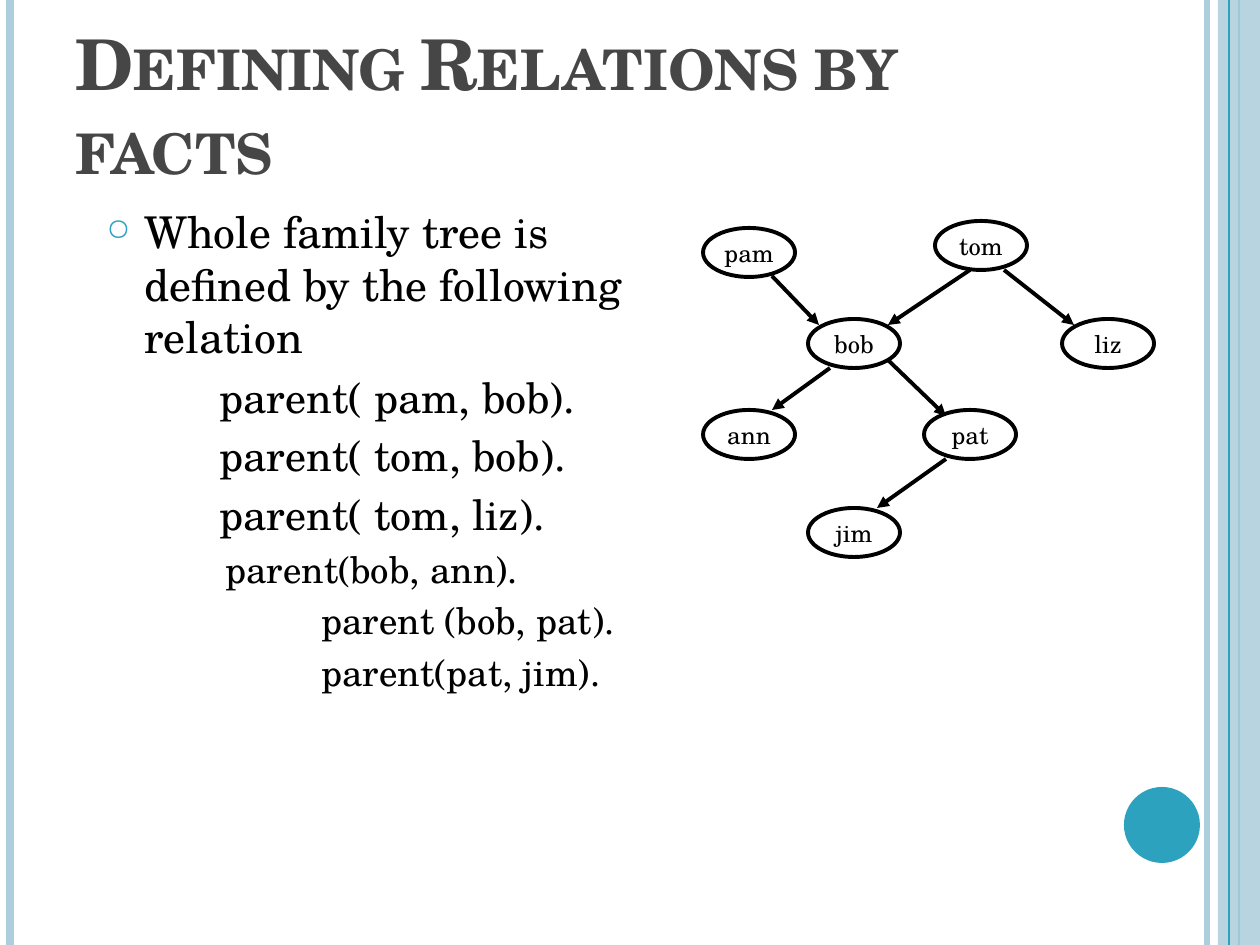
from collections import namedtuple

from lxml import etree
from pptx import Presentation
from pptx.dml.color import RGBColor
from pptx.enum.shapes import MSO_CONNECTOR, MSO_SHAPE
from pptx.enum.text import MSO_ANCHOR, MSO_AUTO_SIZE, PP_ALIGN
from pptx.oxml.ns import qn
from pptx.util import Pt

Theme = namedtuple("Theme", "font white ink heading pale accent title_size lead_size "
                            "fact_size small_fact_size node_size")
theme = Theme(
    font="TeX Gyre Schola",
    white=RGBColor.from_string("FFFFFF"),
    ink=RGBColor.from_string("000000"),
    heading=RGBColor.from_string("464646"),
    pale=RGBColor.from_string("ADCEDC"),
    accent=RGBColor.from_string("2DA2BF"),
    title_size=40, lead_size=25, fact_size=24, small_fact_size=21, node_size=14,
)
PX = 914400 / 126


def px(*lengths):
    return [round(length * PX) for length in lengths]


def add_line(start, end, color, width):
    line = page.shapes.add_connector(MSO_CONNECTOR.STRAIGHT, *px(*start, *end))
    line.line.color.rgb = color
    line.line.width = Pt(width)
    etree.SubElement(line._element.spPr, qn("a:effectLst"))
    return line


deck = Presentation()
deck.slide_width, deck.slide_height = px(1260, 945)
page = deck.slides.add_slide(deck.slide_layouts[5])

# Side stripes, band and disc
for x, color, width in [(1207, theme.pale, 3), (10, theme.pale, 4.5), (1239, theme.accent, 1.5)]:
    add_line((x, 0), (x, 945), color, width)

band = page.shapes.add_shape(MSO_SHAPE.RECTANGLE, *px(1218, 0, 42, 945))
add_line((1229, 0), (1229, 945), theme.accent, 0.75)
disc = page.shapes.add_shape(MSO_SHAPE.OVAL, *px(1124, 787, 76, 76))
for shape, color in [(band, theme.pale), (disc, theme.accent)]:
    shape.shadow.inherit = False
    shape.fill.solid()
    shape.fill.fore_color.rgb = color
    shape.line.fill.background()
band_color = band._element.spPr.find(qn("a:solidFill"))[0]
etree.SubElement(band_color, qn("a:alpha"), val="87000")

# Title
title = page.shapes.title
title.left, title.top, title.width, title.height = px(63, 38, 1029, 157)
frame = title.text_frame
frame.text = "Defining Relations by facts"
frame.word_wrap = True
frame.auto_size = MSO_AUTO_SIZE.NONE
frame.vertical_anchor = MSO_ANCHOR.BOTTOM
frame.paragraphs[0].alignment = PP_ALIGN.LEFT
span = frame.paragraphs[0].runs[0]
span.font.name = theme.font
span.font.size = Pt(theme.title_size)
span.font.bold = True
span.font.color.rgb = theme.heading
span.font._element.set("cap", "small")

# Family tree
node_width, node_height = 92, 49
people = {
    "pam": (703, 228), "liz": (1062, 319), "bob": (808, 319), "jim": (808, 508),
    "pat": (924, 410), "ann": (703, 410), "tom": (935, 221),
}
for name, corner in people.items():
    node = page.shapes.add_shape(MSO_SHAPE.OVAL, *px(*corner, node_width, node_height))
    node.shadow.inherit = False
    node.fill.solid()
    node.fill.fore_color.rgb = theme.white
    node.line.color.rgb = theme.ink
    node.line.width = Pt(2.25)
    frame = node.text_frame
    frame.text = name
    frame.word_wrap = False
    frame.vertical_anchor = MSO_ANCHOR.MIDDLE
    para = frame.paragraphs[0]
    para.alignment = PP_ALIGN.CENTER
    para.font.name = theme.font
    para.font.size = Pt(theme.node_size)
    para.font.color.rgb = theme.ink

parent_arrows = [
    ((772, 276), (819, 325)),
    ((970, 270), (888, 325)),
    ((1004, 270), (1074, 325)),
    ((830, 368), (772, 410)),
    ((888, 360), (946, 416)),
    ((946, 459), (877, 508)),
]
for start, end in parent_arrows:
    arrow = add_line(start, end, theme.ink, 2.25)
    etree.SubElement(arrow.line._get_or_add_ln(), qn("a:tailEnd"), type="triangle")

# Parent facts: text, left margin in px, type size
facts = [
    ("Whole family tree is defined by the following relation", 38, theme.lead_size),
    ("parent( pam, bob).", 113, theme.fact_size),
    ("parent( tom, bob).", 113, theme.fact_size),
    ("parent( tom, liz).", 113, theme.fact_size),
    ("parent(bob, ann).", 119, theme.small_fact_size),
    ("parent (bob, pat).", 215, theme.small_fact_size),
    ("parent(pat, jim).", 215, theme.small_fact_size),
]
box = page.shapes.add_textbox(*px(94, 199, 577, 588))
frame = box.text_frame
frame.word_wrap = True
frame.text = "\n".join(text for text, _, _ in facts)
for index, (para, (_, margin, size)) in enumerate(zip(frame.paragraphs, facts)):
    properties = para._element.get_or_add_pPr()
    properties.set("marL", str(px(margin)[0]))
    if index == 0:
        properties.set("indent", str(px(-margin)[0]))
        bullet_color = etree.SubElement(properties, qn("a:buClr"))
        etree.SubElement(bullet_color, qn("a:srgbClr"), val=str(theme.accent))
        etree.SubElement(properties, qn("a:buSzPct"), val="70000")
        etree.SubElement(properties, qn("a:buChar"), char="○")
    else:
        para.space_before = Pt(size * 0.2)
    para.font.name = theme.font
    para.font.size = Pt(size)
    para.font.color.rgb = theme.ink

deck.save("out.pptx")
